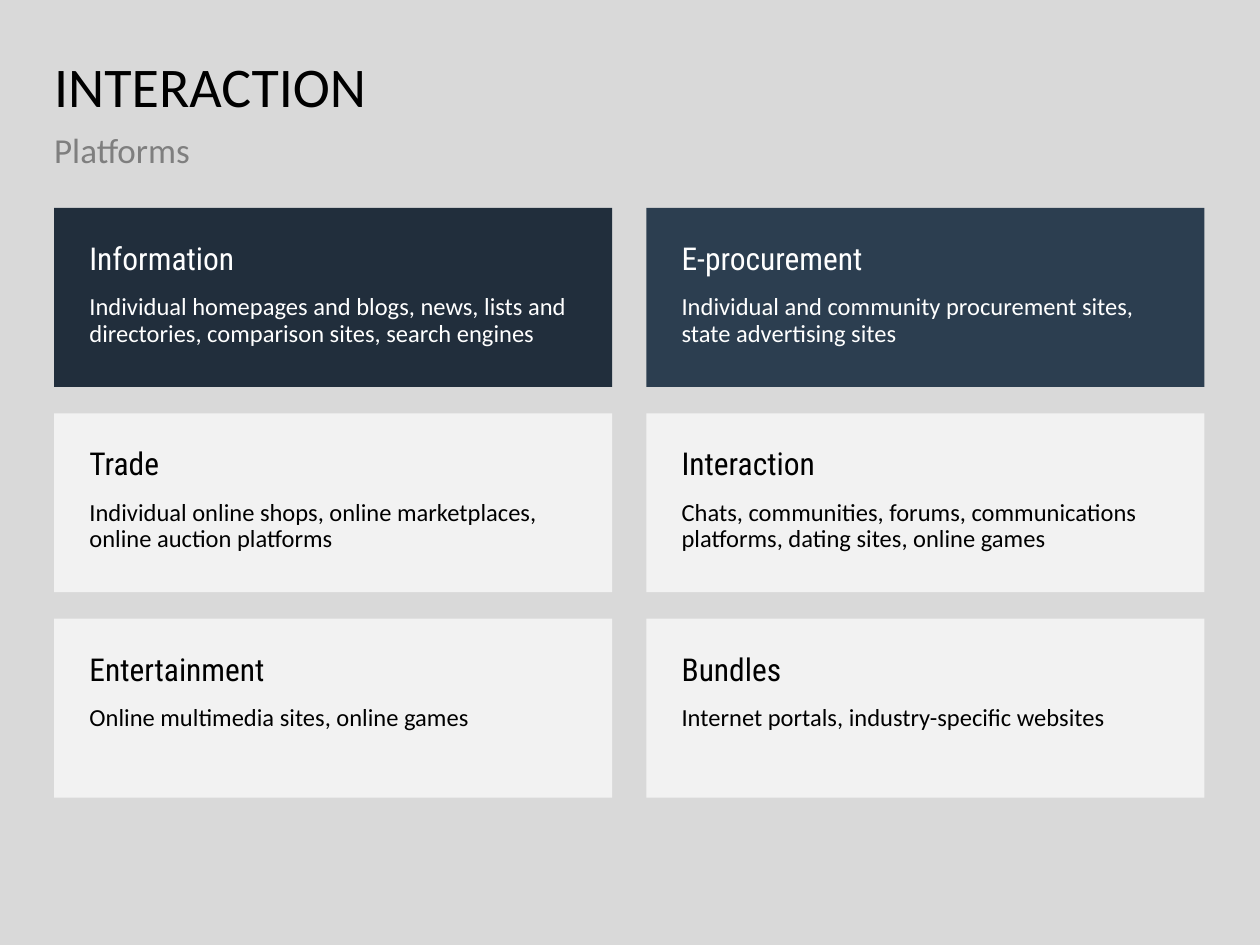
from lxml import etree
from pptx import Presentation
from pptx.dml.color import RGBColor
from pptx.enum.shapes import MSO_SHAPE
from pptx.enum.text import MSO_ANCHOR, MSO_AUTO_SIZE, PP_ALIGN
from pptx.oxml.ns import qn
from pptx.util import Inches, Pt

RECTANGLE = MSO_SHAPE.RECTANGLE
TOP = MSO_ANCHOR.TOP
LEFT = PP_ALIGN.LEFT
NO_AUTOFIT = MSO_AUTO_SIZE.NONE

BODY_FONT = "Calibri"
HEADING_FONT = "Roboto Condensed"
BLACK, WHITE, GRAY = "000000", "FFFFFF", "7F7F7F"
LIGHT, NAVY, SLATE = "F2F2F2", "212E3C", "2C3E50"

# Heading, description, fill, text colour; read row by row
CARDS = [
    ("Information", "Individual homepages and blogs, news, lists and directories, "
     "comparison sites, search engines", NAVY, WHITE),
    ("E-procurement", "Individual and community procurement sites, "
     "state advertising sites", SLATE, WHITE),
    ("Trade", "Individual online shops, online marketplaces, "
     "online auction platforms", LIGHT, BLACK),
    ("Interaction", "Chats, communities, forums, communications platforms, "
     "dating sites, online games", LIGHT, BLACK),
    ("Entertainment", "Online multimedia sites, online games", LIGHT, BLACK),
    ("Bundles", "Internet portals, industry-specific websites", LIGHT, BLACK),
]


def paint(fill, color):
    fill.solid()
    fill.fore_color.rgb = RGBColor.from_string(color)


def set_frame(shape, inset):
    frame = shape.text_frame
    frame.word_wrap = True
    frame.auto_size = NO_AUTOFIT
    frame.vertical_anchor = TOP
    frame.margin_left = frame.margin_right = Inches(inset)
    frame.margin_top = frame.margin_bottom = Inches(inset)
    return frame


def write(paragraph, text, size, font, color, space_after=10):
    paragraph.alignment = LEFT
    paragraph.line_spacing = 0.9
    paragraph.space_before = Pt(0)
    paragraph.space_after = Pt(space_after)
    run = paragraph.add_run()
    run.text = text
    run.font.size = Pt(size)
    run.font.name = font
    run.font.color.rgb = RGBColor.from_string(color)


def place(shape, left, top, width, height):
    shape.left, shape.top = Inches(left), Inches(top)
    shape.width, shape.height = Inches(width), Inches(height)


def add_header(slide, left, top, width, height):
    # Title
    title = slide.shapes.title
    place(title, left, top, width, height)
    write(set_frame(title, 0).paragraphs[0], "INTERACTION", 32, BODY_FONT, BLACK, 0)

    # Subtitle without bullet, in the lower half of the header
    subtitle = slide.placeholders[1]
    place(subtitle, left, top + height / 2, width, height / 2)
    paragraph = set_frame(subtitle, 0).paragraphs[0]
    properties = paragraph._p.get_or_add_pPr()
    properties.set("marL", "0")
    properties.set("indent", "0")
    etree.SubElement(properties, qn("a:buNone"))
    write(paragraph, "Platforms", 20, BODY_FONT, GRAY)


def add_card(slide, left, top, width, height, heading, description, fill, color):
    card = slide.shapes.add_shape(
        RECTANGLE, Inches(left), Inches(top), Inches(width), Inches(height))
    card.shadow.inherit = False
    card.line.fill.background()
    paint(card.fill, fill)
    frame = set_frame(card, 0.28)
    write(frame.paragraphs[0], heading, 18, HEADING_FONT, color)
    write(frame.add_paragraph(), description, 14, BODY_FONT, color)


def add_card_grid(slide, left, top, width, height, columns=2, rows=3):
    column_gap, row_gap = 0.27, 0.21
    card_width = (width - column_gap * (columns - 1)) / columns
    card_height = (height - row_gap * (rows - 1)) / rows
    for index, card in enumerate(CARDS):
        row, column = divmod(index, columns)
        add_card(slide, left + column * (card_width + column_gap),
                 top + row * (card_height + row_gap),
                 card_width, card_height, *card)


def main():
    presentation = Presentation()
    presentation.slide_width, presentation.slide_height = Inches(10), Inches(7.5)
    slide = presentation.slides.add_slide(presentation.slide_layouts[1])
    paint(slide.background.fill, "D9D9D9")
    add_header(slide, 0.43, 0.47, 6.05, 1.18)
    add_card_grid(slide, 0.43, 1.65, 9.13, 4.68)
    presentation.save("out.pptx")


if __name__ == "__main__":
    main()
